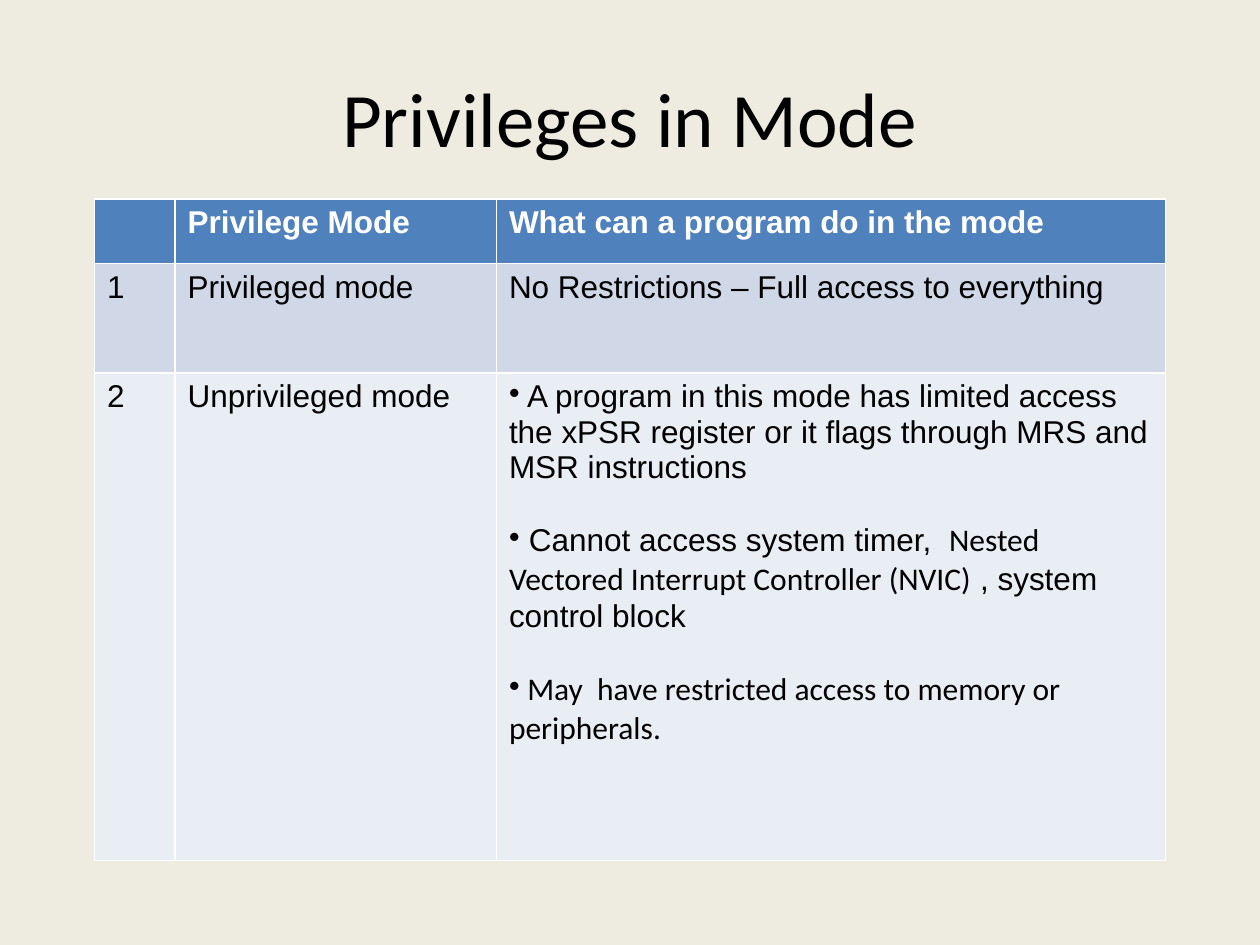
from pptx import Presentation
from pptx.dml.color import RGBColor
from pptx.enum.text import MSO_ANCHOR, PP_ALIGN
from pptx.oxml.ns import qn
from pptx.util import Inches, Pt

BACKGROUND = RGBColor(0xEE, 0xEC, 0xE1)
HEADER_FILL = RGBColor(0x4F, 0x81, 0xBD)
ROW_FILLS = [HEADER_FILL, RGBColor(0xD0, 0xD8, 0xE8), RGBColor(0xE9, 0xED, 0xF4)]
WHITE = RGBColor(0xFF, 0xFF, 0xFF)
BLACK = RGBColor(0, 0, 0)

COLUMN_WIDTHS = [0.64, 2.55, 5.31]
ROW_HEIGHTS = [0.51, 0.87, 3.87]
CELL_TEXTS = [
    ["", "Privilege Mode", "What can a program do in the mode"],
    ["1", "Privileged mode", "No Restrictions – Full access to everything"],
    ["2", "Unprivileged mode", ""],
]
RESTRICTIONS = [
    [(" A program in this mode has limited access the xPSR register or it flags "
      "through MRS and MSR instructions", "Arial")],
    [(" Cannot access system timer,  ", "Arial"),
     ("Nested Vectored Interrupt Controller (NVIC)", "Calibri"),
     (" , system control block", "Arial")],
    [(" May  have restricted access to memory or peripherals.", "Calibri")],
]


def add_span(para, text, font="Arial", size=18, color=BLACK, bold=False):
    span = para.add_run()
    span.text = text
    span.font.name = font
    span.font.size = Pt(size)
    span.font.color.rgb = color
    span.font.bold = bold


def add_bullet(para):
    """Put a bullet in line with the text, without a hanging indent."""
    properties = para._p.get_or_add_pPr()
    properties.set("marL", "0")
    properties.set("indent", "0")
    bullet = properties.makeelement(qn("a:buChar"), {"char": "•"})
    properties.append(bullet)


deck = Presentation()
deck.slide_width = Inches(10)
deck.slide_height = Inches(7.5)
page = deck.slides.add_slide(deck.slide_layouts[6])
page.background.fill.solid()
page.background.fill.fore_color.rgb = BACKGROUND

title_box = page.shapes.add_textbox(Inches(0.5), Inches(0.3), Inches(9), Inches(1.25))
title_frame = title_box.text_frame
title_frame.word_wrap = True
title_frame.vertical_anchor = MSO_ANCHOR.MIDDLE
title_para = title_frame.paragraphs[0]
title_para.alignment = PP_ALIGN.CENTER
add_span(title_para, "Privileges in Mode", "Calibri", 44)

# The default table style supplies the white borders.
table = page.shapes.add_table(
    len(ROW_HEIGHTS), len(COLUMN_WIDTHS),
    Inches(0.75), Inches(1.58), Inches(8.5), Inches(5.25)).table
for column, width in zip(table.columns, COLUMN_WIDTHS):
    column.width = Inches(width)
for row, height in zip(table.rows, ROW_HEIGHTS):
    row.height = Inches(height)

for row_index, (texts, fill) in enumerate(zip(CELL_TEXTS, ROW_FILLS)):
    is_header = row_index == 0
    for column_index, text in enumerate(texts):
        cell = table.cell(row_index, column_index)
        cell.fill.solid()
        cell.fill.fore_color.rgb = fill
        if text:
            add_span(cell.text_frame.paragraphs[0], text,
                     color=WHITE if is_header else BLACK, bold=is_header)

restriction_frame = table.cell(2, 2).text_frame
for index, spans in enumerate(RESTRICTIONS):
    if index == 0:
        para = restriction_frame.paragraphs[0]
    else:
        para = restriction_frame.add_paragraph()
        para.space_before = Pt(21)
    add_bullet(para)
    for text, font in spans:
        add_span(para, text, font)

deck.save("out.pptx")
